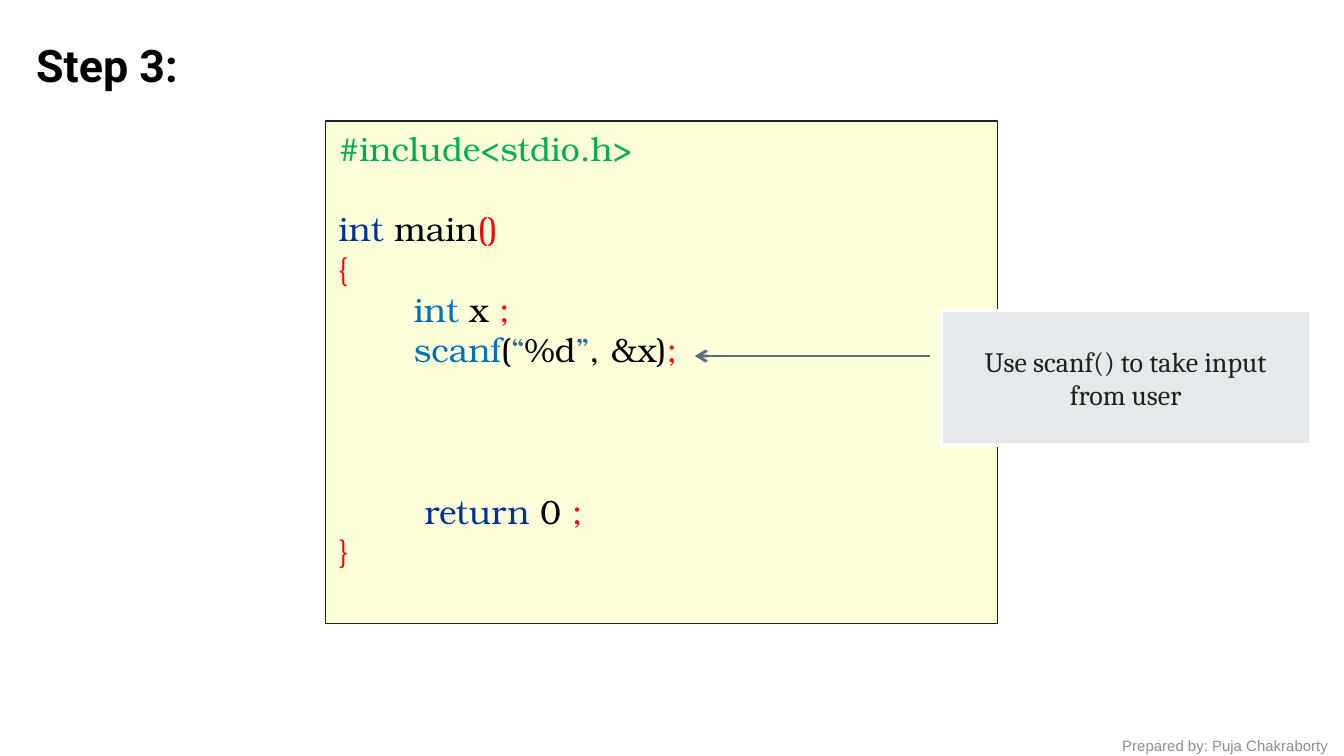
from lxml import etree
from pptx import Presentation
from pptx.dml.color import RGBColor
from pptx.enum import shapes, text
from pptx.oxml import ns
from pptx.util import Cm, Pt

COLORS = {
    "black": "000000", "ink": "212121", "grey": "8E8E8E", "white": "FFFFFF",
    "cream": "FCFFD9", "mist": "E4E9EB", "slate": "586D77",
    "directive": "00B050", "keyword": "003399", "call": "0070C0",
    "quote": "336699", "mark": "FF0000",
}
LINE_PITCH = 21.6  # points per code line

# Each code line: empty lines above it, then (text, colour) spans
CODE = [
    (0, [("#include<stdio.h>", "directive")]),
    (1, [("int", "keyword"), (" main", "black"), ("()", "mark")]),
    (0, [("{", "mark")]),
    (0, [("       ", "black"), ("int", "call"), (" x ", "black"), (";", "mark")]),
    (0, [("       ", "black"), ("scanf", "call"), ("(", "black"), ("“", "quote"),
         ("%d", "black"), ("”", "quote"), (", &x)", "black"), (";", "mark")]),
    (3, [("        ", "mark"), ("return", "keyword"), (" 0 ", "black"), (";", "mark")]),
    (0, [("}", "mark")]),
]


def color(name):
    return RGBColor.from_string(COLORS[name])


def style(span, font, size, ink, bold=False):
    span.font.name = font
    span.font.size = Pt(size)
    span.font.bold = bold
    span.font.color.rgb = color(ink)


def add_panel(page, box, fill, line, width):
    panel = page.shapes.add_shape(shapes.MSO_SHAPE.RECTANGLE, *map(Cm, box))
    panel.shadow.inherit = False
    panel.fill.solid()
    panel.fill.fore_color.rgb = color(fill)
    panel.line.color.rgb = color(line)
    panel.line.width = Pt(width)
    panel.text_frame.word_wrap = True
    return panel


def add_title(page, box, words):
    title = page.shapes.title
    title.left, title.top, title.width, title.height = map(Cm, box)
    frame = title.text_frame
    frame.text = words
    frame.vertical_anchor = text.MSO_ANCHOR.TOP
    para = frame.paragraphs[0]
    para.alignment = text.PP_ALIGN.LEFT
    style(para.runs[0], "Roboto", 24, "black", bold=True)


def add_code(page, box):
    frame = add_panel(page, box, "cream", "ink", 0.75).text_frame
    frame.vertical_anchor = text.MSO_ANCHOR.TOP
    for number, (gap, spans) in enumerate(CODE):
        para = frame.add_paragraph() if number else frame.paragraphs[0]
        para.alignment = text.PP_ALIGN.LEFT
        if gap:
            para.space_before = Pt(gap * LINE_PITCH)
        for words, ink in spans:
            span = para.add_run()
            span.text = words
            style(span, "TeX Gyre Bonum", 18, ink)


def add_arrow(page, start, end):
    arrow = page.shapes.add_connector(
        shapes.MSO_CONNECTOR.STRAIGHT, *map(Cm, start + end))
    arrow.line.color.rgb = color("slate")
    arrow.line.width = Pt(1.5)
    etree.SubElement(arrow.line._get_or_add_ln(), ns.qn("a:tailEnd"), type="arrow")
    etree.SubElement(arrow._element.spPr, ns.qn("a:effectLst"))


def add_callout(page, box, words):
    frame = add_panel(page, box, "mist", "white", 2).text_frame
    frame.text = words
    frame.vertical_anchor = text.MSO_ANCHOR.MIDDLE
    para = frame.paragraphs[0]
    para.alignment = text.PP_ALIGN.CENTER
    style(para.runs[0], "Cambria", 15, "ink")


def add_credit(page, box, words):
    frame = page.shapes.add_textbox(*map(Cm, box)).text_frame
    frame.word_wrap = True
    frame.text = words
    style(frame.paragraphs[0].runs[0], "Arial", 8, "grey")


def main():
    deck = Presentation()
    deck.slide_width, deck.slide_height = Cm(25.4), Cm(14.29)
    page = deck.slides.add_slide(deck.slide_layouts[5])

    add_credit(page, (20.96, 13.79, 4.65, 0.61), "Prepared by: Puja Chakraborty")
    add_code(page, (6.15, 2.29, 12.7, 9.5))
    add_title(page, (0.43, 0.58, 4.24, 1.27), "Step 3:")
    add_arrow(page, (17.58, 6.73), (13.13, 6.73))
    add_callout(page, (17.78, 5.87, 6.99, 2.54), "Use scanf() to take input from user")

    deck.save("out.pptx")


if __name__ == "__main__":
    main()
